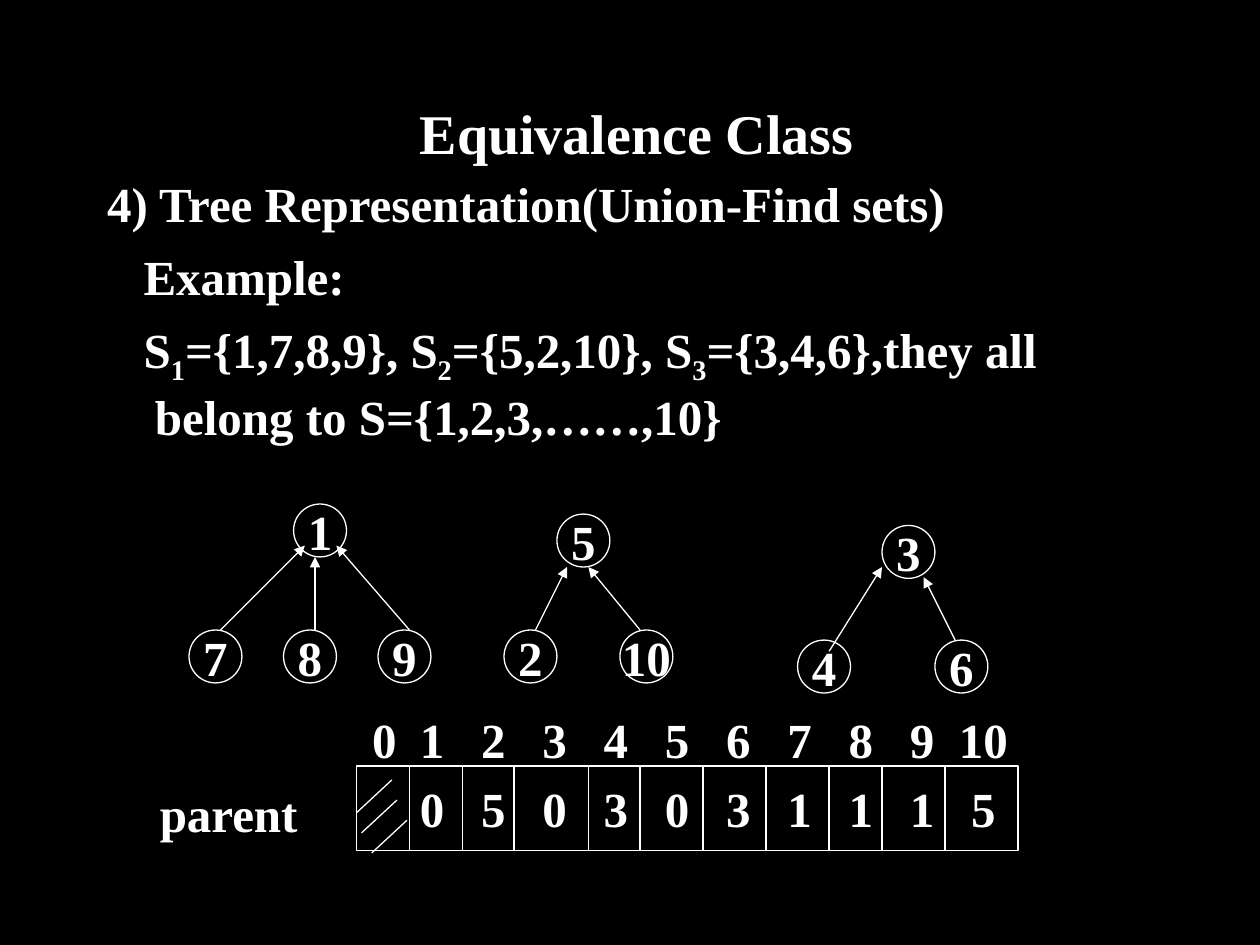
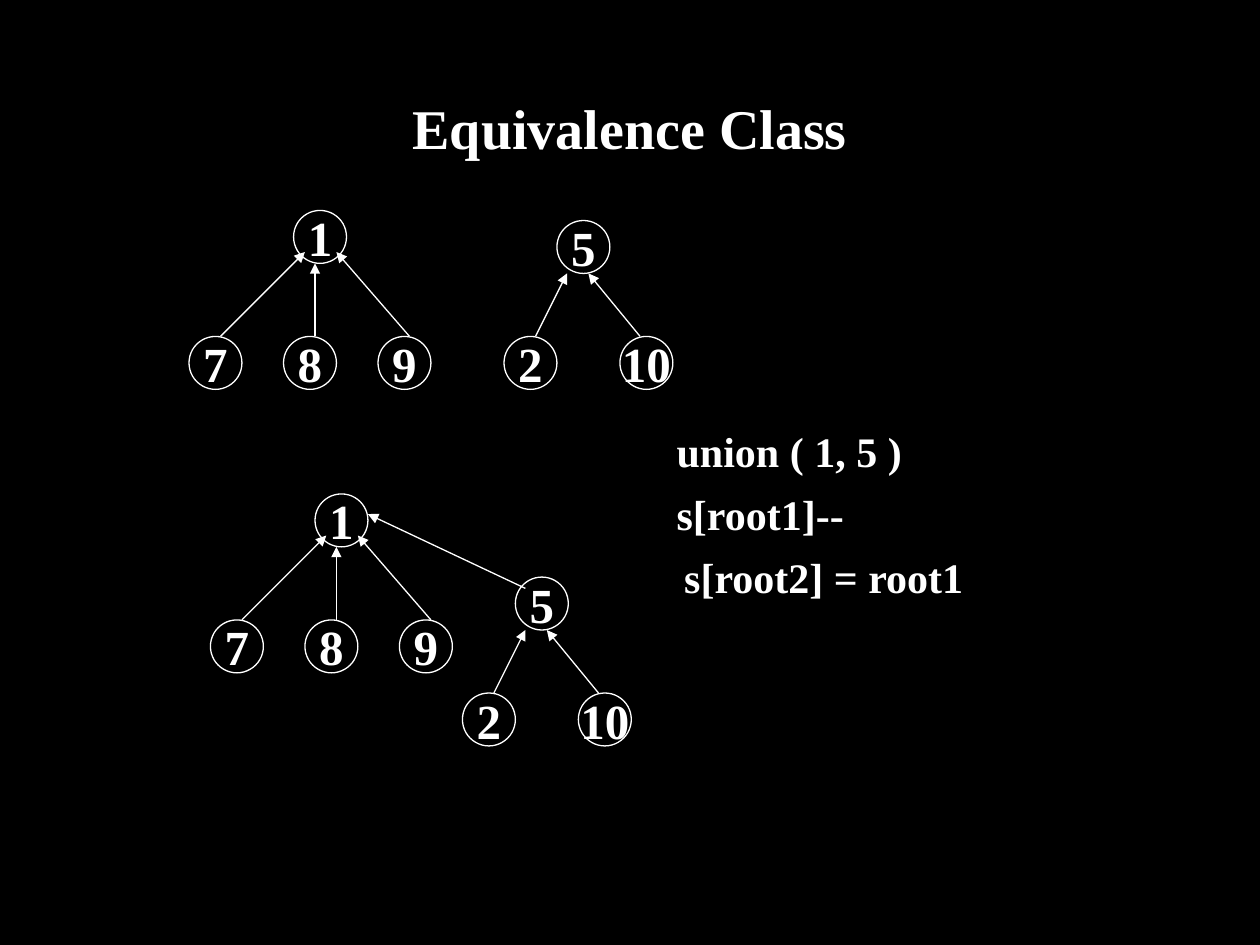
from dataclasses import dataclass

from lxml.etree import SubElement
from pptx import Presentation
from pptx.dml.color import RGBColor
from pptx.enum.shapes import MSO_CONNECTOR as Connector, MSO_SHAPE as Shape
from pptx.enum.text import MSO_ANCHOR as Anchor, MSO_AUTO_SIZE as AutoSize, PP_ALIGN as Align
from pptx.oxml.ns import qn
from pptx.util import Inches, Pt


@dataclass(frozen=True)
class Theme:
    font: str = "Times New Roman"
    ink: RGBColor = RGBColor(0xFF, 0xFF, 0xFF)
    ground: RGBColor = RGBColor(0, 0, 0)
    title_size: int = 32
    body_size: int = 28
    code_size: int = 24
    line_width: float = 0.75
    node_size: float = 0.42


@dataclass(frozen=True)
class Tree:
    nodes: tuple
    arrows: tuple


THEME = Theme()
TREE_ONE = Tree(
    nodes=(("1", 0.83, 0), ("7", 0, 1), ("8", 0.75, 1), ("9", 1.5, 1)),
    arrows=((0.25, 1, 0.92, 0.33), (1, 1, 1, 0.42), (1.75, 1, 1.17, 0.33)),
)
TREE_FIVE = Tree(
    nodes=(("5", 0.42, 0), ("2", 0, 0.92), ("10", 0.92, 0.92)),
    arrows=((0.25, 0.92, 0.5, 0.42), (1.08, 0.92, 0.67, 0.42)),
)
TREE_THREE = Tree(
    nodes=(("3", 0.67, 0), ("4", 0, 0.91), ("6", 1.09, 0.91)),
    arrows=((0.25, 1, 0.67, 0.33), (1.25, 0.91, 1, 0.41)),
)


def inches(*lengths):
    return [Inches(length) for length in lengths]


def style(para, size, before=0, align=Align.LEFT):
    para.alignment = align
    para.space_before = Pt(before)
    font = para.font
    font.name = THEME.font
    font.size = Pt(size)
    font.bold = True
    font.color.rgb = THEME.ink


def place(shape, left, top, width, height):
    shape.left, shape.top, shape.width, shape.height = inches(left, top, width, height)
    shape.text_frame.auto_size = AutoSize.NONE


def add_line(page, x1, y1, x2, y2, arrow=False):
    line = page.shapes.add_connector(Connector.STRAIGHT, *inches(x1, y1, x2, y2))
    line.line.color.rgb = THEME.ink
    line.line.width = Pt(THEME.line_width)
    properties = line._element.spPr
    if arrow:
        SubElement(properties.find(qn("a:ln")), qn("a:tailEnd"), type="triangle")
    SubElement(properties, qn("a:effectLst"))


def add_outline(page, kind, left, top, width, height):
    shape = page.shapes.add_shape(kind, *inches(left, top, width, height))
    shape.shadow.inherit = False
    shape.fill.background()
    shape.line.color.rgb = THEME.ink
    shape.line.width = Pt(THEME.line_width)
    shape.text_frame.vertical_anchor = Anchor.MIDDLE
    return shape


def add_tree(page, tree, left, top):
    for label, x, y in tree.nodes:
        node = add_outline(page, Shape.OVAL, left + x, top + y, THEME.node_size, THEME.node_size)
        node.text_frame.word_wrap = False
        node.text_frame.text = label
        style(node.text_frame.paragraphs[0], THEME.body_size, 7, Align.CENTER)
    for x1, y1, x2, y2 in tree.arrows:
        add_line(page, left + x1, top + y1, left + x2, top + y2, arrow=True)


def add_page(deck, title, title_height):
    page = deck.slides.add_slide(deck.slide_layouts[1])
    heading = page.shapes.title
    place(heading, 0.75, 0.67, 8.5, title_height)
    heading.text_frame.text = title
    heading.text_frame.vertical_anchor = Anchor.MIDDLE
    style(heading.text_frame.paragraphs[0], THEME.title_size, align=Align.CENTER)
    return page


def fill_body(page, box, lines, size, before, top_inset=0.05):
    body = page.placeholders[1]
    place(body, *box)
    frame = body.text_frame
    frame.margin_top = Inches(top_inset)
    frame.vertical_anchor = Anchor.TOP
    for number, (text, margin, indent) in enumerate(lines):
        para = frame.paragraphs[0] if number == 0 else frame.add_paragraph()
        for part, words in enumerate(text.split("_")):
            span = para.add_run()
            span.text = words
            if part % 2:
                span._r.get_or_add_rPr().set("baseline", "-25000")
        layout = para._p.get_or_add_pPr()
        layout.set("marL", str(Inches(margin)))
        layout.set("indent", str(Inches(indent)))
        SubElement(layout, qn("a:buNone"))
        style(para, size, before)


def write_on_tabs(frame, values, stops, before):
    frame.word_wrap = True
    frame.margin_left = frame.margin_right = 0
    para = frame.paragraphs[0]
    para.add_run().text = "".join("\t" + value for value in values)
    tabs = SubElement(para._p.get_or_add_pPr(), qn("a:tabLst"))
    for stop in stops:
        SubElement(tabs, qn("a:tab"), pos=str(Inches(stop)), algn="ctr")
    style(para, THEME.body_size, before)


def add_parent_array(page, left, top, width, height):
    stops = [0.6 + 0.486 * cell for cell in range(10)]
    frame = add_outline(page, Shape.RECTANGLE, left, top, width, height)
    write_on_tabs(frame.text_frame, "0 5 0 3 0 3 1 1 1 5".split(), stops, 7)
    for x in (0.42, 0.84, 1.25, 1.84, 2.25, 2.75, 3.25, 3.75, 4.17, 4.67):
        add_line(page, left + x, top, left + x, top + height)
    for x, y in ((0, 0.37), (0.04, 0.53), (0.12, 0.69)):
        add_line(page, left + x + 0.28, top + y - 0.26, left + x, top + y)

    label = page.shapes.add_textbox(*inches(left - 1.66, top + 0.09, 1.67, 0.57))
    label.text_frame.word_wrap = True
    label.text_frame.text = "parent"
    style(label.text_frame.paragraphs[0], THEME.body_size, 17.5)

    indexes = page.shapes.add_textbox(*inches(left, top - 0.5, width, 0.57))
    write_on_tabs(indexes.text_frame, [str(index) for index in range(11)], [0.22] + stops, 17.5)


def build_representation(deck):
    page = add_page(deck, " Equivalence Class", 0.75)
    lines = (
        ("4) Tree Representation(Union-Find sets)", 0.38, -0.38),
        ("Example:", 0.38, -0.09),
        ("S_1_={1,7,8,9}, S_2_={5,2,10}, S_3_={3,4,6},they all belong to S={1,2,3,……,10}", 0.38, -0.09),
    )
    fill_body(page, (0.75, 1.33, 8.5, 4.5), lines, THEME.body_size, 8)
    add_parent_array(page, 2.83, 6.08, 5.25, 0.67)
    add_tree(page, TREE_ONE, 1.5, 4)
    add_tree(page, TREE_FIVE, 4, 4.08)
    add_tree(page, TREE_THREE, 6.33, 4.17)


def build_union(deck):
    page = add_page(deck, "Equivalence Class", 0.67)
    lines = (
        ("union ( 1, 5 )", 4.52, 0),
        ("s[root1]--", 4.52, 0),
        ("s[root2] = root1", 4.58, 0),
    )
    fill_body(page, (0.75, 1.25, 8.5, 5.42), lines, THEME.code_size, 7, top_inset=2.13)
    add_tree(page, TREE_ONE, 1.5, 1.67)
    add_tree(page, TREE_FIVE, 4, 1.75)
    add_tree(page, TREE_ONE, 1.67, 3.92)
    add_tree(page, TREE_FIVE, 3.67, 4.58)
    add_line(page, 4.17, 4.67, 2.92, 4.08, arrow=True)


def main():
    deck = Presentation()
    deck.slide_width, deck.slide_height = inches(10, 7.5)
    ground = deck.slide_master.background.fill
    ground.solid()
    ground.fore_color.rgb = THEME.ground
    build_representation(deck)
    build_union(deck)
    deck.save("out.pptx")


if __name__ == "__main__":
    main()
